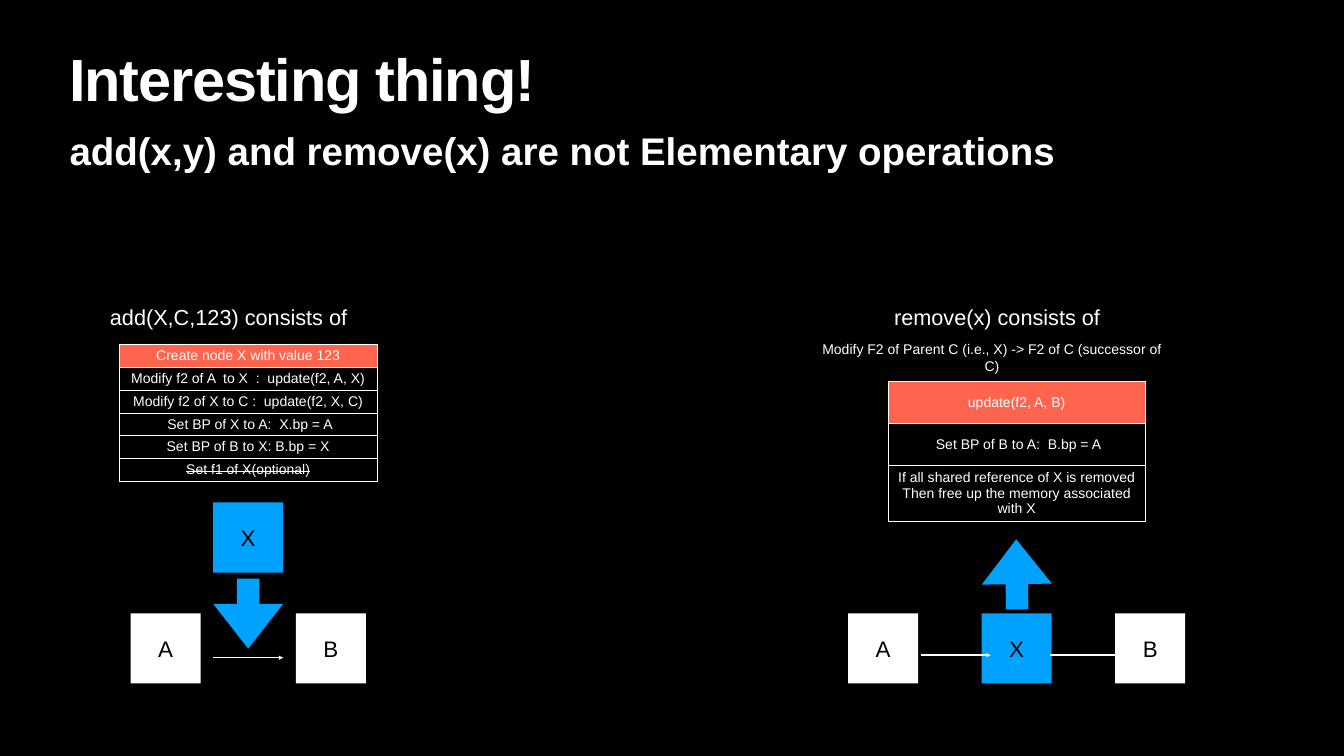
from pptx import Presentation
from pptx.dml.color import RGBColor
from pptx.enum.shapes import MSO_CONNECTOR, MSO_SHAPE
from pptx.enum.text import MSO_ANCHOR, PP_ALIGN
from pptx.oxml import parse_xml
from pptx.oxml.ns import nsdecls, qn
from pptx.util import Inches, Pt
from lxml.etree import SubElement

COLORS = {"back": "000000", "white": "FFFFFF", "blue": "00A2FF", "red": "FF644E"}
SIDE = 1.39  # edge of a node box
PAD = 0.06


def color(name):
    return RGBColor.from_string(COLORS[name])


def style(frame, text, size, ink="white", bold=False, align=PP_ALIGN.CENTER,
          anchor=MSO_ANCHOR.MIDDLE):
    frame.text = text
    frame.vertical_anchor = anchor
    for para in frame.paragraphs:
        para.alignment = align
        for run in para.runs:
            font = run.font
            font.name, font.size, font.bold = "Arial", Pt(size), bold
            font.color.rgb = color(ink)


def add_text(slide, text, box, size, wrap=True, right=PAD, **look):
    frame = slide.shapes.add_textbox(*map(Inches, box)).text_frame
    frame.word_wrap = wrap
    frame.margin_left = frame.margin_top = frame.margin_bottom = Inches(PAD)
    frame.margin_right = Inches(right)
    style(frame, text, size, **look)
    return frame.paragraphs[0]


def add_solid(slide, kind, x, y, fill):
    shape = slide.shapes.add_shape(kind, *map(Inches, (x, y, SIDE, SIDE)))
    shape.shadow.inherit = False
    shape.fill.solid()
    shape.fill.fore_color.rgb = color(fill)
    shape.line.fill.background()
    return shape


def add_node(slide, label, x, y, fill="white"):
    frame = add_solid(slide, MSO_SHAPE.RECTANGLE, x, y, fill).text_frame
    frame.margin_left = frame.margin_right = Inches(PAD)
    frame.margin_top = frame.margin_bottom = Inches(PAD)
    style(frame, label, 32, ink="back")


def add_block_arrow(slide, x, y, turn):
    arrow = add_solid(slide, MSO_SHAPE.RIGHT_ARROW, x, y, "blue")
    arrow.adjustments[0], arrow.adjustments[1] = 0.32, 0.64
    arrow.rotation = turn


def add_link(slide, x, y):
    link = slide.shapes.add_connector(
        MSO_CONNECTOR.STRAIGHT, *map(Inches, (x, y, x + SIDE, y)))
    link.line.color.rgb = color("white")
    link.line.width = Pt(2)
    SubElement(link.line._get_or_add_ln(), qn("a:tailEnd"), type="triangle")
    SubElement(link._element.spPr, qn("a:effectLst"))


def add_border(cell):
    props = cell._tc.get_or_add_tcPr()
    for spot, side in enumerate("LRTB"):
        props.insert(spot, parse_xml(
            f'<a:ln{side} {nsdecls("a")} w="12700"><a:solidFill>'
            f'<a:srgbClr val="{COLORS["white"]}"/></a:solidFill></a:ln{side}>'))


def add_steps(slide, steps, x, y, heights):
    table = slide.shapes.add_table(
        len(steps), 1, *map(Inches, (x, y, 5.11, sum(heights)))).table
    table.columns[0].width = Inches(5.11)
    for row, (step, height) in enumerate(zip(steps, heights)):
        table.rows[row].height = Inches(height)
        cell = table.cell(row, 0)
        cell.margin_left = cell.margin_right = Inches(PAD)
        cell.margin_top = cell.margin_bottom = Inches(PAD)
        style(cell.text_frame, step, 20)
        cell.vertical_anchor = MSO_ANCHOR.MIDDLE
        if row == 0:
            cell.fill.solid()
            cell.fill.fore_color.rgb = color("red")
        else:
            cell.fill.background()
        add_border(cell)
    return table


def add_heading(slide, x, y, width):
    look = dict(bold=True, align=PP_ALIGN.LEFT, anchor=MSO_ANCHOR.TOP)
    title = add_text(slide, "Interesting thing!", (x, y, width, 1.57), 85, **look)
    title.line_spacing = 0.8
    title.runs[0].font._element.set("spc", "-170")
    add_text(slide, "add(x,y) and remove(x) are not Elementary operations",
             (x, y + 1.42, width, 1.02), 55, **look)


def add_insert(slide, x, y):
    add_text(slide, "add(X,C,123) consists of ", (x, y, 4.95, 0.63), 31, wrap=False)
    steps = [
        "Create node X with value 123",
        "Modify f2 of A  to X  :  update(f2, A, X)",
        "Modify f2 of X to C :  update(f2, X, C)",
        " Set BP of X to A:  X.bp = A",
        "Set BP of B to X: B.bp = X",
        "Set f1 of X(optional)",
    ]
    table = add_steps(slide, steps, x + 0.25, y + 0.85, [0.42] * len(steps))
    last = table.cell(len(steps) - 1, 0).text_frame.paragraphs[0]
    last.runs[0].font._element.set("strike", "sngStrike")
    # X drops in between A and B
    left, mid, base = x + 0.47, x + 2.11, y + 6.19
    add_node(slide, "A", left, base)
    add_node(slide, "X", mid, y + 3.99, "blue")
    add_node(slide, "B", 2 * mid - left, base)
    add_link(slide, mid, base + 0.88)
    add_block_arrow(slide, mid, y + 5.5, 90)


def add_remove(slide, x, y):
    add_text(slide, "remove(x) consists of ", (x + 1.43, y, 4.33, 0.63), 31, wrap=False)
    add_text(slide, "Modify F2 of Parent C (i.e., X) -> F2 of C (successor of C)",
             (x, y + 0.89, 7.19, 0.44), 20, right=0.38)
    steps = [
        "update(f2, A, B)",
        " Set BP of B to A:  B.bp = A",
        "If all shared reference of X is removed\vThen free up the memory associated with X",
    ]
    add_steps(slide, steps, x + 1.37, y + 1.59, [0.83, 0.83, 1.12])
    # X is lifted out of the chain
    left, step, base = x + 0.58, 2.65, y + 6.19
    for spot, (label, fill) in enumerate(zip("AXB", ("white", "blue", "white"))):
        add_node(slide, label, left + spot * step, base, fill)
    add_block_arrow(slide, left + step, y + 4.72, 269.2)
    add_link(slide, x + 2.02, base + 0.83)
    add_link(slide, x + 4.58, base + 0.83)


def main():
    deck = Presentation()
    deck.slide_width, deck.slide_height = Inches(26.67), Inches(15)
    slide = deck.slides.add_slide(deck.slide_layouts[6])
    slide.background.fill.solid()
    slide.background.fill.fore_color.rgb = color("back")
    add_heading(slide, 1.32, 1.04, 24.03)
    add_insert(slide, 2.12, 5.98)
    add_remove(slide, 16.25, 5.98)
    deck.save("out.pptx")


if __name__ == "__main__":
    main()
